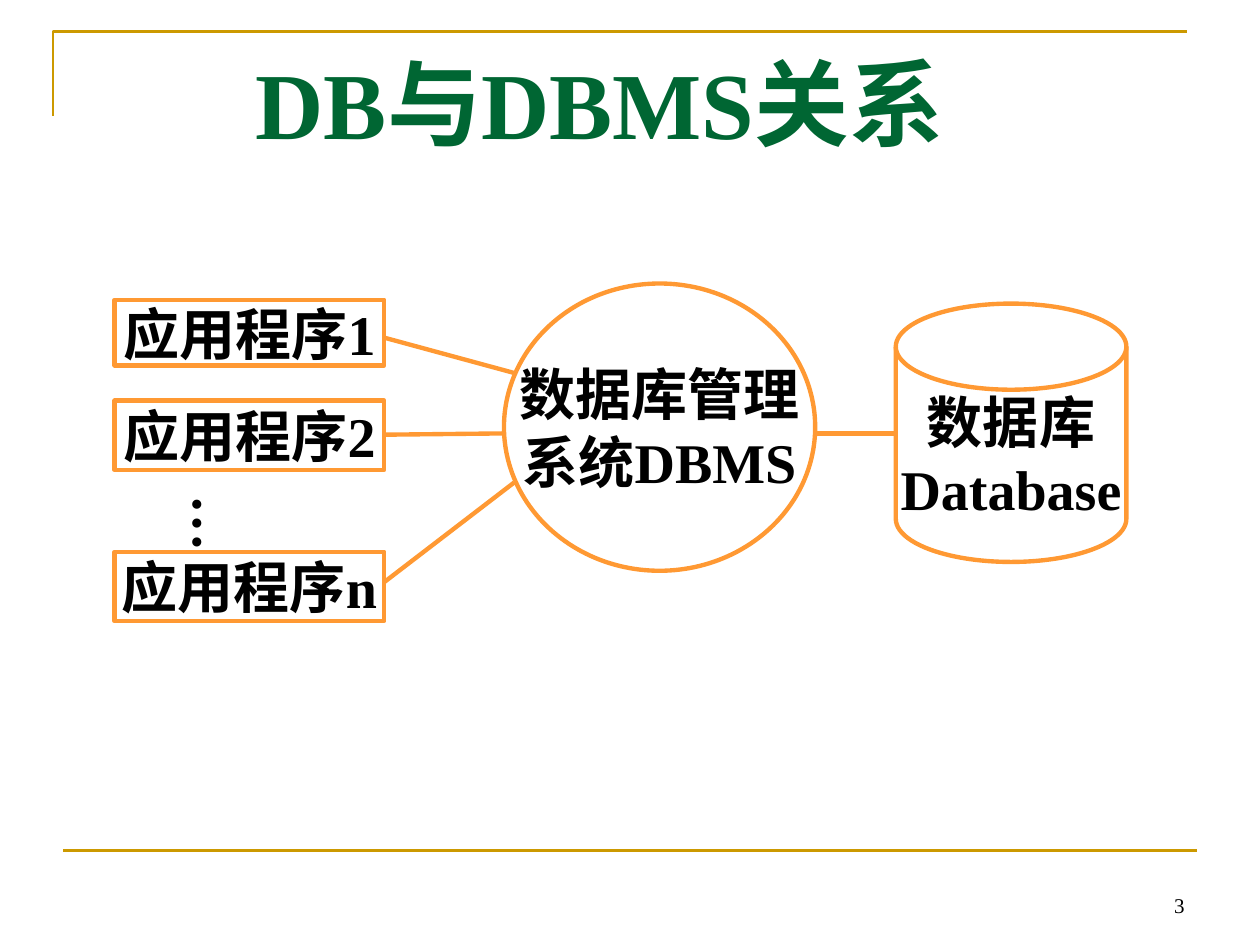
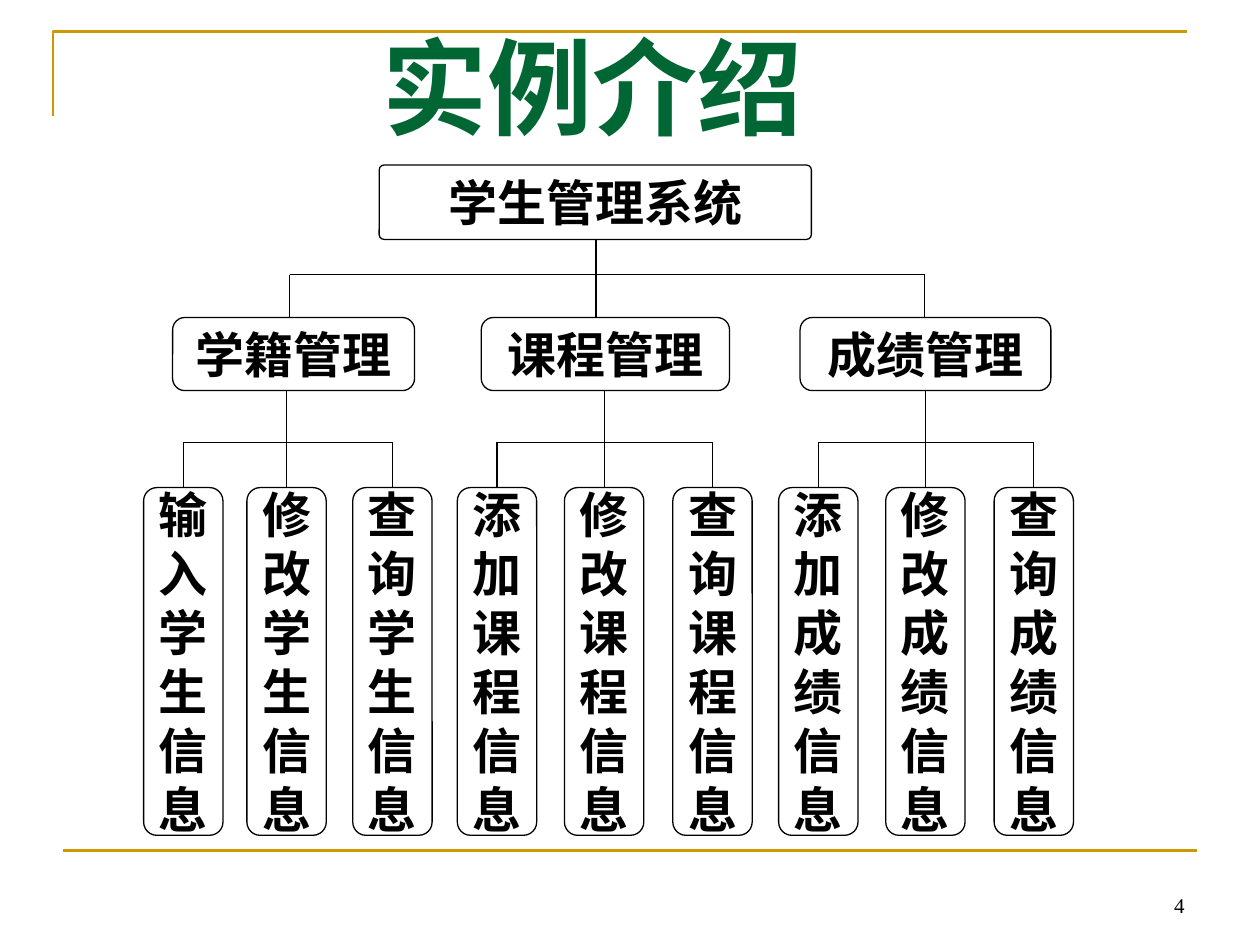
import pptx
import pptx.dml.color
import pptx.enum.shapes
import pptx.enum.text
import pptx.oxml.ns
import pptx.util
from lxml import etree

Inches = pptx.util.Inches
Pt = pptx.util.Pt
Shape = pptx.enum.shapes.MSO_SHAPE
Align = pptx.enum.text.PP_ALIGN
Anchor = pptx.enum.text.MSO_ANCHOR
AutoSize = pptx.enum.text.MSO_AUTO_SIZE

FONT = "Times New Roman"
COLORS = {
    "frame": "CC9900",
    "title": "006633",
    "flow": "FF9933",
    "text": "000000",
    "paper": "FFFFFF",
}


def rgb(name):
    """Return the named colour."""
    return pptx.dml.color.RGBColor.from_string(COLORS[name])


class Deck:
    """Holds the shared style and the current slide."""

    def __init__(self):
        """Start an empty 10 by 7.5 inch presentation."""
        self.presentation = pptx.Presentation()
        self.presentation.slide_width = Inches(10)
        self.presentation.slide_height = Inches(7.5)
        self.slide = None

    def add_slide(self, title, box, size, align, number):
        """Add a slide with its frame, title and number."""
        layout = self.presentation.slide_layouts.get_by_name("Title Only")
        self.slide = self.presentation.slides.add_slide(layout)
        self.frame()
        shape = self.slide.shapes.title
        shape.left, shape.top, shape.width, shape.height = map(Inches, box)
        self.set_text(shape, [title], size, align, Anchor.TOP, color="title")
        self.text_box(number, (7.17, 6.83, 2.33, 0.5), 12, Align.RIGHT, Anchor.BOTTOM, bold=False)

    def frame(self):
        """Draw the corner at the top and the rule at the foot."""
        builder = self.slide.shapes.build_freeform(Inches(0.42), Inches(0.92))
        corner = [(0.42, 0.25), (9.42, 0.25)]
        builder.add_line_segments([(Inches(x), Inches(y)) for x, y in corner], close=False)
        shape = builder.convert_to_shape()
        shape.shadow.inherit = False
        shape.fill.background()
        self.outline(shape, "frame", 1.5)
        self.line((0.5, 6.75), (9.5, 6.75), "frame", 1.5)

    def outline(self, shape, color, width):
        """Set the line colour and width."""
        shape.line.color.rgb = rgb(color)
        shape.line.width = Pt(width)

    def line(self, start, end, color="text", width=0.75):
        """Draw a straight line between two points."""
        points = map(Inches, (*start, *end))
        connector = self.slide.shapes.add_connector(
            pptx.enum.shapes.MSO_CONNECTOR.STRAIGHT, *points)
        self.outline(connector, color, width)
        properties = connector._element.spPr
        etree.SubElement(properties, pptx.oxml.ns.qn("a:effectLst"))

    def set_text(self, shape, lines, size, align=Align.CENTER, anchor=Anchor.MIDDLE,
                 color="text", bold=True, wrap=True, side=0.1):
        """Fill a shape with lines of text."""
        frame = shape.text_frame
        frame.auto_size = AutoSize.NONE
        frame.word_wrap = wrap
        frame.vertical_anchor = anchor
        frame.margin_left = frame.margin_right = Inches(side)
        frame.margin_top = frame.margin_bottom = Inches(0.05)
        frame.text = "\n".join(lines)
        for paragraph in frame.paragraphs:
            paragraph.alignment = align
            paragraph.font.name = FONT
            paragraph.font.size = Pt(size)
            paragraph.font.bold = bold
            paragraph.font.color.rgb = rgb(color)

    def text_box(self, text, box, size, align, anchor, bold=True):
        """Add a plain text box."""
        shape = self.slide.shapes.add_textbox(*map(Inches, box))
        self.set_text(shape, [text], size, align, anchor, bold=bold)
        return shape

    def vertical_text(self, text, box, size):
        """Add a text box whose text runs downwards."""
        shape = self.text_box(text, box, size, Align.LEFT, Anchor.TOP)
        frame = shape.text_frame
        frame.margin_left = frame.margin_right = Inches(0.05)
        frame.margin_top = frame.margin_bottom = Inches(0.1)
        frame.auto_size = AutoSize.SHAPE_TO_FIT_TEXT
        frame._txBody.bodyPr.set("vert", "eaVert")

    def flow_shape(self, kind, lines, box):
        """Add an unfilled shape with an orange outline."""
        shape = self.slide.shapes.add_shape(kind, *map(Inches, box))
        shape.shadow.inherit = False
        shape.fill.background()
        self.outline(shape, "flow", 2.5)
        self.set_text(shape, lines, 32, wrap=False)

    def flow_line(self, start, end):
        """Draw an orange link."""
        self.line(start, end, "flow", 2.5)

    def node(self, text, box, corner=0.167, side=0.1):
        """Add a rounded box of the tree."""
        shape = self.slide.shapes.add_shape(Shape.ROUNDED_RECTANGLE, *map(Inches, box))
        shape.adjustments[0] = corner
        shape.shadow.inherit = False
        shape.fill.solid()
        shape.fill.fore_color.rgb = rgb("paper")
        self.outline(shape, "text", 0.75)
        self.set_text(shape, [text], 28, side=side)

    def fork(self, trunk, top, bar, bottom, drops):
        """Draw a trunk, a crossbar and a drop to each child."""
        self.line((trunk, top), (trunk, bar))
        self.line((drops[0], bar), (drops[-1], bar))
        for x in drops:
            self.line((x, bar), (x, bottom))


def relation_slide(deck):
    """Show how applications reach the database."""
    deck.add_slide("DB与DBMS关系", (1.93, 0.31, 7.24, 1), 54, Align.LEFT, "3")
    deck.flow_shape(Shape.OVAL, ["数据库管理", "系统DBMS"], (4, 2.25, 2.47, 2.28))
    deck.flow_shape(Shape.FLOWCHART_MAGNETIC_DISK, ["数据库", "Database"],
                    (7.11, 2.41, 1.83, 2.05))
    deck.flow_line((6.47, 3.44), (7.11, 3.44))
    applications = [
        ("1", 2.38, 0.52, 2.68, (4.08, 2.96)),
        ("2", 3.18, 0.55, 3.45, (4, 3.44)),
        ("n", 4.38, 0.55, 4.62, (4.08, 3.83)),
    ]
    for name, top, height, link_y, link_end in applications:
        deck.flow_shape(Shape.RECTANGLE, ["应用程序" + name], (0.91, top, 2.14, height))
        deck.flow_line((3.05, link_y), link_end)
    deck.vertical_text("…", (1.3, 3.83, 0.73, 0.63), 32)


def example_slide(deck):
    """Show the modules of the student system as a tree."""
    deck.add_slide("实例介绍", (2.75, 0.13, 3.9, 1.1), 60, Align.CENTER, "4")
    leaf_top, leaf_width, leaf_height = 3.87, 0.63, 2.76
    branches = [
        ("学籍管理", 1.37, 1.92, ["输入", "修改", "查询"], "学生", [1.14, 1.96, 2.8]),
        ("课程管理", 3.82, 1.97, ["添加", "修改", "查询"], "课程", [3.63, 4.48, 5.34]),
        ("成绩管理", 6.35, 1.99, ["添加", "修改", "查询"], "成绩", [6.18, 7.03, 7.89]),
    ]
    deck.fork(4.73, 1.9, 2.18, 2.52, [2.3, 4.73, 7.34])
    deck.node("学生管理系统", (3.01, 1.31, 3.43, 0.59), corner=0.066)
    for name, left, width, actions, subject, leaf_lefts in branches:
        drops = [x + leaf_width / 2 for x in leaf_lefts]
        deck.fork(drops[1], 3.1, 3.51, leaf_top, drops)
        deck.node(name, (left, 2.52, width, 0.58))
        for action, x in zip(actions, leaf_lefts):
            deck.node(action + subject + "信息", (x, leaf_top, leaf_width, leaf_height), side=0.07)


def main():
    """Build and save the presentation."""
    deck = Deck()
    relation_slide(deck)
    example_slide(deck)
    deck.presentation.save("out.pptx")


if __name__ == "__main__":
    main()
